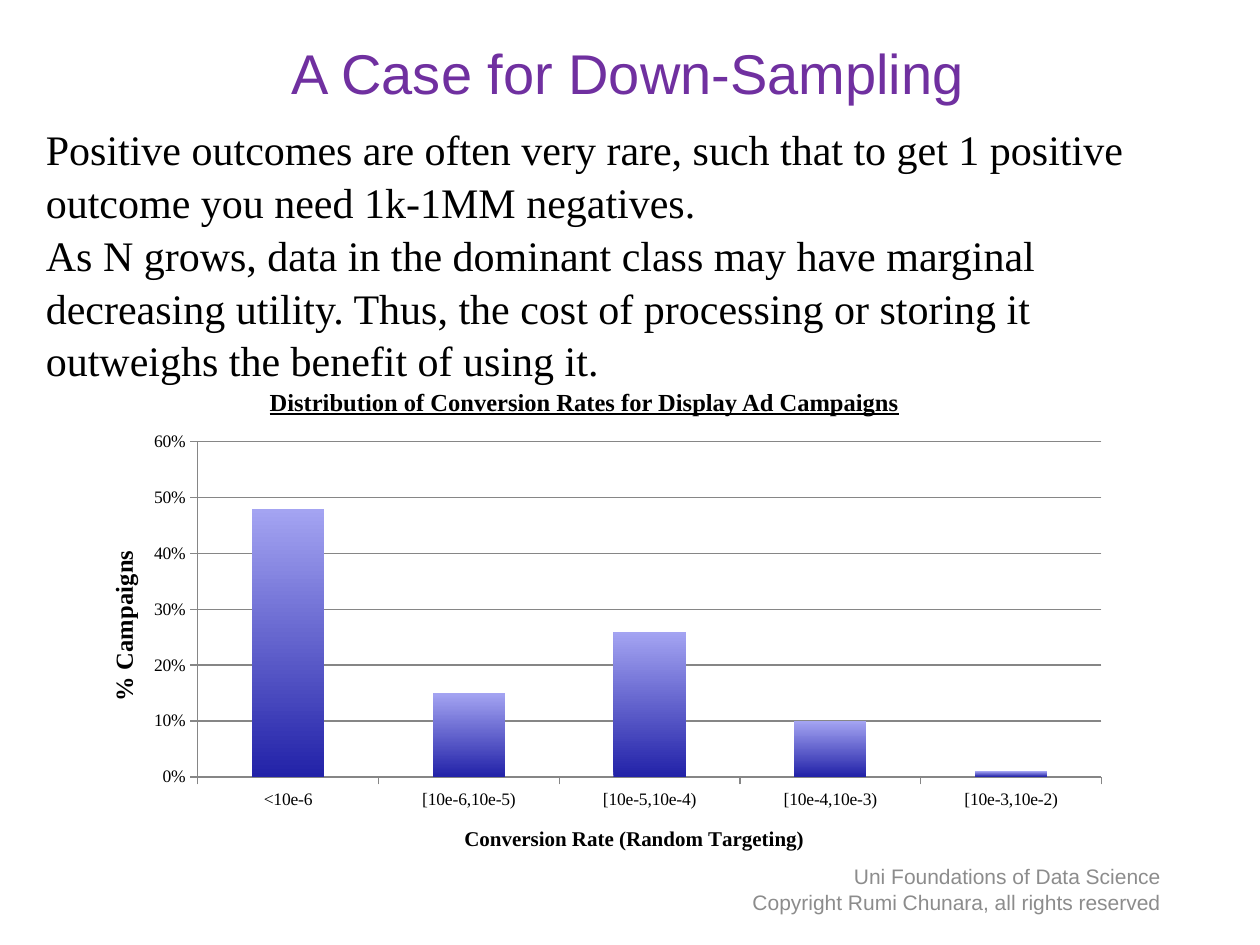
from lxml import etree
from pptx import Presentation, util as u
from pptx.chart.data import CategoryChartData
from pptx.dml.color import RGBColor
from pptx.enum import chart as charts, text
from pptx.oxml import parse_xml
from pptx.oxml.ns import nsdecls, qn

PURPLE = RGBColor(0x70, 0x30, 0xA0)
BLACK = RGBColor(0, 0, 0)
GRAY = RGBColor(0x8C, 0x8C, 0x8C)
AXIS_GRAY = RGBColor(0x86, 0x86, 0x86)
LIGHT_BLUE = RGBColor(0xA4, 0xA4, 0xF2)
DARK_BLUE = RGBColor(0x22, 0x22, 0xA8)
SANS = "Arial"
SERIF = "Times New Roman"
BODY = [
    "Positive outcomes are often very rare, such that to get 1 positive outcome "
    "you need 1k-1MM negatives.",
    "As N grows, data in the dominant class may have marginal decreasing utility. "
    "Thus, the cost of processing or storing it outweighs the benefit of using it.",
]
FOOTER = ["Uni Foundations of Data Science", "Copyright Rumi Chunara, all rights reserved"]
RATES = {"<10e-6": 0.48, "[10e-6,10e-5)": 0.15, "[10e-5,10e-4)": 0.26,
         "[10e-4,10e-3)": 0.1, "[10e-3,10e-2)": 0.01}


def style_font(font, size, name, color, bold=False, underline=False):
    """Apply size, typeface, colour and emphasis to a font."""
    font.size, font.name = u.Pt(size), name
    font.color.rgb = color
    font.bold, font.underline = bold, underline


def place(shape, left, top, width, height):
    """Move and size a shape in points."""
    shape.left, shape.top = u.Pt(left), u.Pt(top)
    shape.width, shape.height = u.Pt(width), u.Pt(height)


def write(shape, lines, alignment, anchor, *style, **emphasis):
    """Fill a shape with evenly formatted paragraphs."""
    frame = shape.text_frame
    frame.text = "\n".join(lines)
    frame.word_wrap = True
    frame.auto_size = text.MSO_AUTO_SIZE.NONE
    frame.vertical_anchor = anchor
    for paragraph in frame.paragraphs:
        paragraph.alignment = alignment
        paragraph.space_before = u.Pt(0)
        for run in paragraph.runs:
            style_font(run.font, *style, **emphasis)


def add_title(slide):
    """Format the title placeholder."""
    place(slide.shapes.title, 19, 15, 680, 52)
    write(slide.shapes.title, ["A Case for Down-Sampling"], text.PP_ALIGN.CENTER,
          text.MSO_ANCHOR.MIDDLE, 32, SANS, PURPLE)


def add_body(slide):
    """Format the body placeholder as plain paragraphs."""
    body = slide.placeholders[1]
    place(body, 19, 65.5, 680, 240)
    write(body, BODY, text.PP_ALIGN.LEFT, text.MSO_ANCHOR.TOP, 24, SERIF, BLACK)
    for paragraph in body.text_frame.paragraphs:
        paragraph.line_spacing = 1.05
        properties = paragraph._p.get_or_add_pPr()
        properties.set("marL", "0")
        properties.set("indent", "0")
        etree.SubElement(properties, qn("a:buNone"))


def add_label(slide, box, *content, **emphasis):
    """Add a text box and return it."""
    label = slide.shapes.add_textbox(0, 0, 0, 0)
    place(label, *box)
    write(label, *content, **emphasis)
    return label


def layout_xml(left, top, width=None, height=None):
    """Build a manual chart layout from fractions of the chart."""
    target = '<c:layoutTarget val="inner"/>' if width else ""
    size = f'<c:w val="{width}"/><c:h val="{height}"/>' if width else ""
    return parse_xml(
        f'<c:layout {nsdecls("c")}><c:manualLayout>{target}<c:xMode val="edge"/>'
        f'<c:yMode val="edge"/><c:x val="{left}"/><c:y val="{top}"/>{size}'
        "</c:manualLayout></c:layout>")


def set_layout(parent, position, layout):
    """Replace the layout of a chart part."""
    for old in parent.findall(qn("c:layout")):
        parent.remove(old)
    parent.insert(position, layout)


def style_axis(axis, title, size, left, top):
    """Format an axis and place its title."""
    axis.major_tick_mark = charts.XL_TICK_MARK.OUTSIDE
    axis.format.line.color.rgb = AXIS_GRAY
    style_font(axis.tick_labels.font, 10, SERIF, BLACK)
    frame = axis.axis_title.text_frame
    frame.text = title
    style_font(frame.paragraphs[0].runs[0].font, size, SERIF, BLACK, bold=True)
    set_layout(axis.axis_title._element, 1, layout_xml(left, top))


def add_rate_chart(slide):
    """Add the column chart of conversion rates."""
    data = CategoryChartData(number_format="0%")
    data.categories = list(RATES)
    data.add_series("Series 1", list(RATES.values()))
    frame = slide.shapes.add_chart(charts.XL_CHART_TYPE.COLUMN_CLUSTERED, u.Pt(41), u.Pt(242),
                                   u.Pt(600.5), u.Pt(259), data)
    chart = frame.chart
    chart.has_legend = chart.has_title = False
    style_font(chart.font, 10, SERIF, BLACK)
    set_layout(chart._chartSpace.chart.plotArea, 0, layout_xml(0.12, 0.04, 0.86, 0.74))
    style_axis(chart.category_axis, "Conversion Rate (Random Targeting)", 12, 0.37, 0.88)
    values = chart.value_axis
    style_axis(values, "% Campaigns", 14, 0.03, 0.27)
    values.minimum_scale, values.maximum_scale, values.major_unit = 0, 0.6, 0.1
    values.tick_labels.number_format = "0%"
    values.tick_labels.number_format_is_linked = False
    values.major_gridlines.format.line.color.rgb = AXIS_GRAY
    plot = chart.plots[0]
    plot.gap_width, plot.vary_by_categories = 150, False
    fill = plot.series[0].format.fill
    fill.gradient()
    fill.gradient_angle = 90
    for stop, color in zip(fill.gradient_stops, (DARK_BLUE, LIGHT_BLUE)):
        stop.color.rgb = color


def main():
    """Build and save the slide."""
    presentation = Presentation()
    presentation.slide_width, presentation.slide_height = u.Pt(720), u.Pt(540)
    slide = presentation.slides.add_slide(presentation.slide_layouts[1])
    footer = add_label(slide, (386, 500.5, 284.5, 29), FOOTER, text.PP_ALIGN.RIGHT,
                       text.MSO_ANCHOR.MIDDLE, 12, SANS, GRAY)
    footer.text_frame.margin_top, footer.text_frame.margin_bottom = u.Pt(0), u.Pt(14)
    add_title(slide)
    add_body(slide)
    add_rate_chart(slide)
    add_label(slide, (147, 217.5, 466.5, 24.5),
              ["Distribution of Conversion Rates for Display Ad Campaigns"],
              text.PP_ALIGN.LEFT, text.MSO_ANCHOR.TOP, 14, SERIF, BLACK,
              bold=True, underline=True)
    presentation.save("out.pptx")


main()
